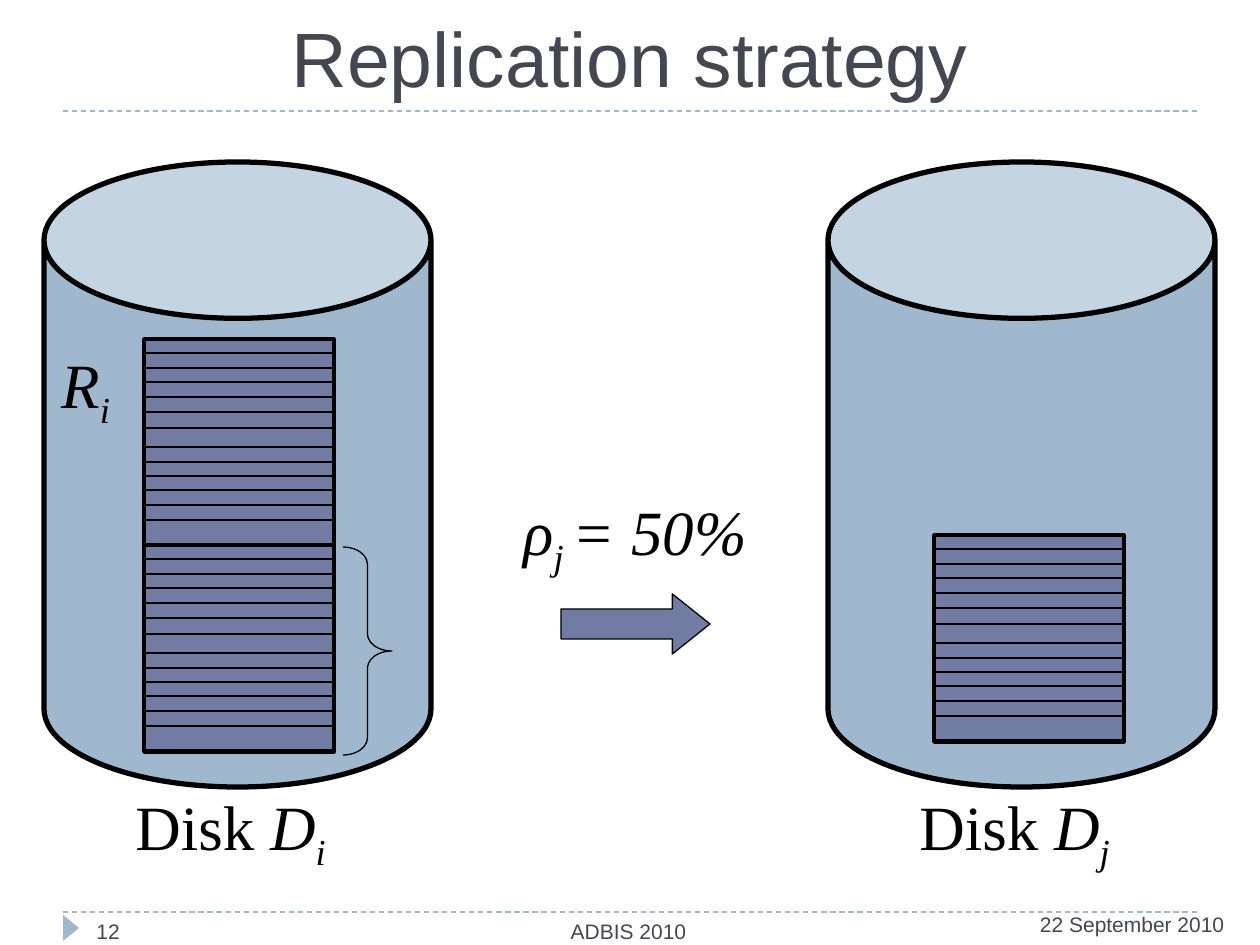
from itertools import accumulate

from lxml.etree import SubElement
from pptx import Presentation
from pptx.dml.color import RGBColor
from pptx.enum.dml import MSO_LINE
from pptx.enum.shapes import MSO_CONNECTOR, MSO_SHAPE
from pptx.enum.text import MSO_ANCHOR, MSO_AUTO_SIZE, PP_ALIGN
from pptx.oxml.ns import qn
from pptx.util import Pt

EMU_PER_PX = 914400 / 126
BLACK = RGBColor(0x00, 0x00, 0x00)
SLATE = RGBColor(0x46, 0x46, 0x53)
LIGHT_BLUE = RGBColor(0x9F, 0xB8, 0xCD)
INDIGO = RGBColor(0x72, 0x7C, 0xA3)
ROW_HEIGHTS = [14, 15, 14, 15, 15, 16, 19, 15, 14, 14, 15, 15, 24]
BLOCK_WIDTH, BLOCK_HEIGHT = 190, 207


def px(value):
    return round(value * EMU_PER_PX)


def add_shape(page, kind, left, top, width, height, fill=None, line=None, adjustments=()):
    shape = page.shapes.add_shape(kind, px(left), px(top), px(width), px(height))
    shape.shadow.inherit = False
    if fill is None:
        shape.fill.background()
    else:
        shape.fill.solid()
        shape.fill.fore_color.rgb = fill
    if line is None:
        shape.line.fill.background()
    else:
        shape.line.color.rgb = BLACK
        shape.line.width = Pt(line)
    for index, value in enumerate(adjustments):
        shape.adjustments[index] = value
    return shape


def add_rule(page, top):
    rule = page.shapes.add_connector(MSO_CONNECTOR.STRAIGHT, px(63), px(top), px(1197), px(top))
    rule.line.color.rgb = LIGHT_BLUE
    rule.line.width = Pt(0.75)
    rule.line.dash_style = MSO_LINE.DASH
    SubElement(rule._element.spPr, qn("a:effectLst"))


def add_text(page, text, left, top, width, height, size=12, align=PP_ALIGN.LEFT):
    box = page.shapes.add_textbox(px(left), px(top), px(width), px(height))
    frame = box.text_frame
    frame.word_wrap = True
    frame.text = text
    para = frame.paragraphs[0]
    para.alignment = align
    font = para.runs[0].font
    font.name = "Arial"
    font.size = Pt(size)
    font.color.rgb = SLATE
    return frame


def add_formula(page, left, top, width, parts):
    box = page.shapes.add_textbox(px(left), px(top), px(width), px(89))
    frame = box.text_frame
    frame.word_wrap = False
    frame.auto_size = MSO_AUTO_SIZE.SHAPE_TO_FIT_TEXT
    for text, italic, subscript in parts:
        span = frame.paragraphs[0].add_run()
        span.text = text
        span.font.name = "Times New Roman"
        span.font.size = Pt(36)
        span.font.color.rgb = BLACK
        span.font.italic = italic
        if subscript:
            span.font._element.set("baseline", "-25000")


def add_block(page, left, top):
    offsets = accumulate(ROW_HEIGHTS, initial=0)
    for offset, height in zip(offsets, ROW_HEIGHTS):
        add_shape(page, MSO_SHAPE.RECTANGLE, left, top + offset, BLOCK_WIDTH, height, INDIGO, 0.75)
    add_shape(page, MSO_SHAPE.RECTANGLE, left, top, BLOCK_WIDTH, BLOCK_HEIGHT, line=2)


def add_disk(page, left, index):
    add_shape(page, MSO_SHAPE.CAN, left, 162, 387, 625, LIGHT_BLUE, 3, [0.404])
    parts = [("Disk ", False, False), ("D", True, False), (index, True, True)]
    add_formula(page, left + 79, 781, 219, parts)


def add_frame(page):
    add_rule(page, 912)
    add_rule(page, 111)
    marker = add_shape(page, MSO_SHAPE.ISOSCELES_TRIANGLE, 58, 920, 26, 16, LIGHT_BLUE)
    marker.rotation = 90
    title = add_text(page, "Replication strategy", 63, 21, 1134, 88, 44, PP_ALIGN.CENTER)
    title.vertical_anchor = MSO_ANCHOR.BOTTOM
    date = add_text(page, "22 September 2010", 1040, 912, 218, 33)
    date.margin_left = date.margin_top = 0
    add_text(page, "ADBIS 2010", 387, 912, 483, 33, align=PP_ALIGN.CENTER)
    add_text(page, "12", 84, 912, 273, 33)


def main():
    deck = Presentation()
    deck.slide_width, deck.slide_height = px(1260), px(945)
    page = deck.slides.add_slide(deck.slide_layouts[6])
    add_frame(page)
    add_disk(page, 44, "i")
    add_disk(page, 828, "j")
    add_shape(page, MSO_SHAPE.RIGHT_BRACE, 343, 547, 49, 208, line=0.75, adjustments=[0.349, 0.5])
    add_shape(page, MSO_SHAPE.RIGHT_ARROW, 561, 594, 149, 60, INDIGO, 0.75, [0.5, 0.626])
    add_formula(page, 511, 486, 268, [("ρ", True, False), ("j ", True, True), ("= 50%", True, False)])
    add_formula(page, 49, 339, 76, [("R", True, False), ("i", True, True)])
    for left, top in [(144, 339), (144, 545), (934, 535)]:
        add_block(page, left, top)
    deck.save("out.pptx")


if __name__ == "__main__":
    main()
